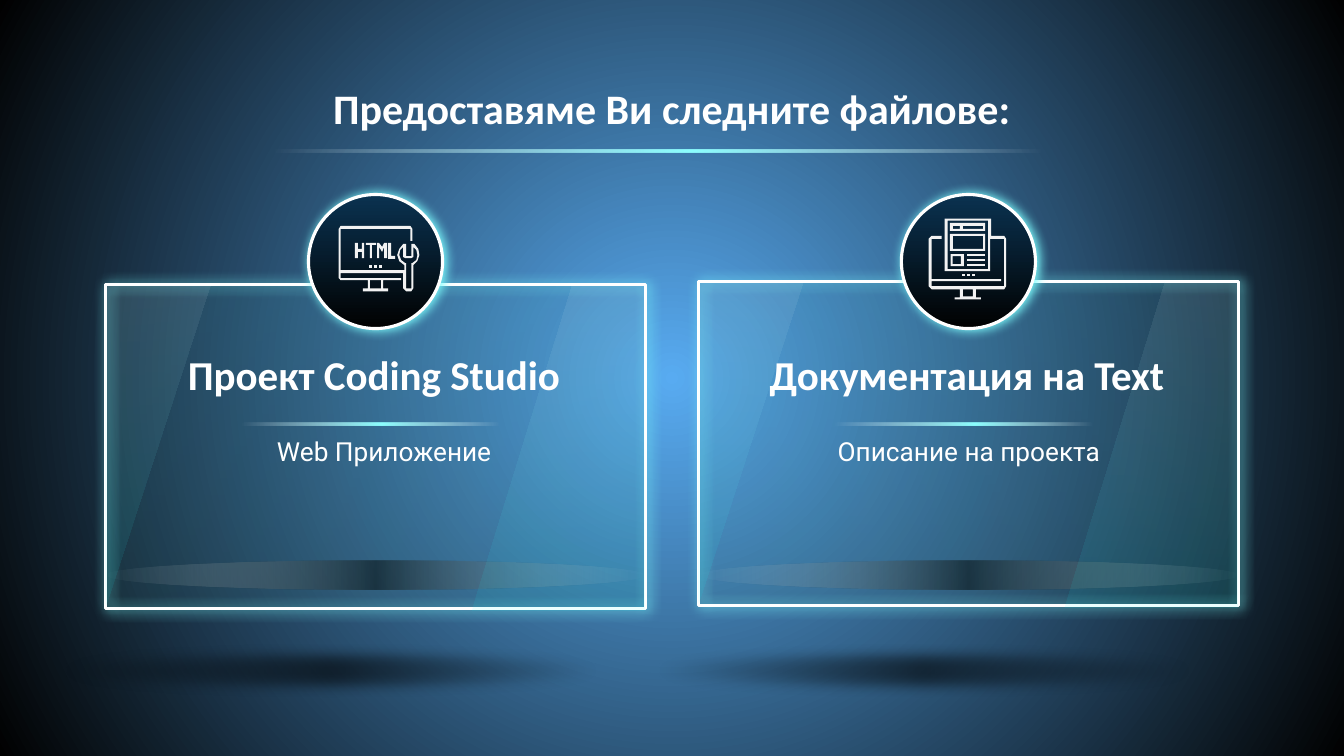
import pptx
import pptx.util
import pptx.dml.color
import pptx.enum.shapes
import pptx.enum.text
import pptx.oxml
import pptx.oxml.ns

PX = 9144  # 100 px to the inch
RECT = pptx.enum.shapes.MSO_SHAPE.RECTANGLE
OVAL = pptx.enum.shapes.MSO_SHAPE.OVAL
ANCHOR = pptx.enum.text.MSO_ANCHOR
NS = pptx.oxml.ns.nsdecls("a")

# Gradient stops: position, colour, opacity in percent
DARK = [(0, "0A3250", 100), (100, "010101", 100)]
TINT = [(0, "0A3250", 8), (100, "010101", 8)]
GLASS = [(0, "00FFFF", 8), (100, "FFFFFF", 8)]
FLOOR = [(0, "FFFFFF", 0), (50, "010101", 56), (100, "FFFFFF", 0)]
RULE = [(0, "FFFFFF", 0), (11, "FFFFFF", 0), (48, "8CFFFF", 100),
        (92, "FFFFFF", 0), (100, "FFFFFF", 0)]
BACK = [(0, "58ABF1", 100), (100, "010101", 100)]


def box(l, t, r, b):
    return [(l, t), (r, t), (r, b), (l, b)]


def row(l, t, w, h, n, dx=0, dy=0):
    return [[box(l + i * dx, t + i * dy, l + i * dx + w, t + i * dy + h)] for i in range(n)]


# Icons: each part is a list of closed contours, in px from the badge corner
WEB_ICON = [
    # Letters
    [[(46, 48), (46, 63), (49, 63), (49, 57), (53, 57), (53, 63), (55, 63),
      (55, 48), (53, 48), (53, 54), (49, 54), (49, 48)]],
    [[(57, 48), (57, 50), (61, 50), (61, 63), (63, 63), (63, 50), (67, 50), (67, 48)]],
    [[(68, 48), (68, 63), (70, 63), (70, 52), (73, 57), (75, 52), (75, 63),
      (78, 63), (78, 48), (75, 48), (73, 52), (70, 48)]],
    [[(79, 48), (79, 64), (86, 64), (86, 61), (82, 61), (82, 48)]],
    # Dots
    *row(60, 70, 3, 3, 3, dx=5),
    # Monitor and wrench
    [box(61, 85, 72, 93),
     [(104, 52), (107, 55), (108, 60), (107, 65), (103, 68), (102, 68), (102, 93),
      (97, 93), (97, 68), (96, 68), (92, 65), (90, 60), (91, 55), (94, 52),
      (94, 62), (96, 63), (102, 63), (104, 62)],
     [(32, 31), (30, 34), (30, 83), (32, 85), (59, 85), (59, 93), (54, 93), (54, 96),
      (79, 96), (79, 93), (74, 93), (74, 85), (92, 85), (92, 83), (32, 83), (32, 78),
      (94, 78), (94, 93), (97, 96), (102, 96), (104, 93), (104, 70), (108, 66),
      (110, 60), (109, 54), (105, 49), (102, 49), (102, 61), (97, 61), (97, 49),
      (94, 49), (90, 54), (88, 60), (90, 66), (95, 70), (95, 75), (32, 75), (32, 34),
      (101, 34), (101, 46), (103, 46), (103, 34), (101, 31)]],
]
PAGE_ICON = [
    # Dots
    *row(60, 79, 3, 2, 3, dx=5),
    # Monitor and page
    [box(46, 26, 86, 74), box(61, 94, 71, 101),
     [(43, 24), (43, 76), (88, 76), (88, 44), (102, 44), (102, 91), (30, 91), (30, 86),
      (99, 86), (99, 84), (30, 84), (30, 44), (40, 44), (40, 41), (30, 41), (27, 44),
      (27, 91), (30, 94), (58, 94), (58, 102), (53, 102), (53, 104), (79, 104),
      (79, 102), (74, 102), (74, 94), (102, 94), (104, 91), (104, 44), (102, 41),
      (89, 41), (89, 24)]],
    # Page header, picture frame, text lines, small frame
    [box(51, 31, 58, 34), box(61, 31, 81, 34), box(48, 28, 83, 36)],
    [box(51, 41, 81, 54), box(48, 39, 83, 56)],
    *row(65, 59, 18, 2, 3, dy=5),
    [box(51, 61, 59, 69), box(49, 59, 62, 71)],
]


def px(*values):
    return [pptx.util.Emu(int(v * PX)) for v in values]


def rgb(colour):
    return pptx.dml.color.RGBColor.from_string(colour)


def colour_xml(colour, opacity):
    return f'<a:srgbClr val="{colour}"><a:alpha val="{opacity * 1000}"/></a:srgbClr>'


def gradient(owner, element, stops, angle=None):
    owner.fill.solid()
    solid = element.find(".//" + pptx.oxml.ns.qn("a:solidFill"))
    gs = "".join(f'<a:gs pos="{p * 1000}">{colour_xml(c, o)}</a:gs>' for p, c, o in stops)
    if angle is None:
        way = ('<a:path path="circle"><a:fillToRect l="50000" t="50000" '
               'r="50000" b="50000"/></a:path>')
    else:
        way = f'<a:lin ang="{angle * 60000}" scaled="0"/>'
    solid.getparent().replace(solid, pptx.oxml.parse_xml(
        f'<a:gradFill {NS} rotWithShape="1"><a:gsLst>{gs}</a:gsLst>{way}</a:gradFill>'))


def style(sp, stops, angle, outline=False, shadow=None):
    gradient(sp, sp.element, stops, angle)
    sp.shadow.inherit = False
    if outline:
        sp.line.color.rgb = rgb("FFFFFF")
        sp.line.width = pptx.util.Pt(2.25)
    else:
        sp.line.fill.background()
    if shadow:
        colour, blur, dist, direction = shadow
        effects = sp.element.spPr.find(pptx.oxml.ns.qn("a:effectLst"))
        effects.append(pptx.oxml.parse_xml(
            f'<a:outerShdw {NS} blurRad="{int(blur * 12700)}" dist="{int(dist * 12700)}" '
            f'dir="{direction * 60000}" algn="ctr" rotWithShape="0">'
            f'{colour_xml(colour, 100)}</a:outerShdw>'))


def preset(s, kind, x, y, w, h, *args, **kwargs):
    sp = s.shapes.add_shape(kind, *px(x, y, w, h))
    style(sp, *args, **kwargs)


def outline_shape(s, x, y, contours):
    builder = s.shapes.build_freeform(*contours[0][0], scale=PX)
    for i, points in enumerate(contours):
        if i:
            builder.move_to(*points[0])
        builder.add_line_segments(points[1:], close=True)
    return builder.convert_to_shape(*px(x, y))


def write(sp, text, anchor, **font):
    tf = sp.text_frame
    inset = px(13)[0]
    frame = dict(word_wrap=True, auto_size=pptx.enum.text.MSO_AUTO_SIZE.NONE,
                 vertical_anchor=anchor, margin_left=inset, margin_right=inset,
                 margin_top=inset, margin_bottom=inset)
    for name, value in frame.items():
        setattr(tf, name, value)
    p = tf.paragraphs[0]
    p.alignment = pptx.enum.text.PP_ALIGN.CENTER
    r = p.add_run()
    r.text = text
    r.font.color.rgb = rgb("FFFFFF")
    for name, value in font.items():
        setattr(r.font, name, value)


def header(s, x, y, w, h, text):
    sp = s.shapes.title
    sp.left, sp.top, sp.width, sp.height = px(x, y, w, h)
    write(sp, text, ANCHOR.MIDDLE, name="Calibri", size=pptx.util.Pt(30), bold=True)
    preset(s, RECT, x + 92, y + 83, 939, 3, RULE, 180)


def card(s, x, y, w, h, badge_y, heading, body, body_dx, icon):
    # Floor ellipse with its cast shadow
    preset(s, OVAL, x, badge_y + 363, w, 29, FLOOR, 180, shadow=("000000", 9, 75, 115))
    # Glass panel with two slanted reflections
    preset(s, RECT, x, y, w, h, TINT, 90, outline=True, shadow=("7EFFFF", 9, 1.5, 0))
    for points in ([(0, 0), (0, 320), (104, 0)],
                   [(w - 72, 0), (w - 172, 324), (w, 324), (w, 0)]):
        style(outline_shape(s, x, y, [points]), GLASS, 270)
    # Badge
    badge_x = x + 201
    preset(s, OVAL, badge_x, badge_y, 133, 133, DARK, 90, outline=True,
           shadow=("7EFFFF", 7.9, 1.5, 0))
    for contours in icon:
        sp = outline_shape(s, badge_x, badge_y, contours)
        sp.fill.solid()
        sp.fill.fore_color.rgb = rgb("F2F2F2")
        sp.line.fill.background()
        sp.shadow.inherit = False
    # Texts and divider
    tb = s.shapes.add_textbox(*px(x + 16, badge_y + 136, 500, 80))
    write(tb, heading, ANCHOR.BOTTOM, name="Calibri", size=pptx.util.Pt(29.3), bold=True)
    tb = s.shapes.add_textbox(*px(x + 18 + body_dx, badge_y + 226, 500, 67))
    write(tb, body, ANCHOR.TOP, name="Roboto", size=pptx.util.Pt(18.7))
    preset(s, RECT, x + 110, badge_y + 226, 315, 3, RULE, 180)


def main():
    prs = pptx.Presentation()
    prs.slide_width, prs.slide_height = px(1333, 750)
    s = prs.slides.add_slide(prs.slide_layouts[5])
    gradient(s.background, s.element, BACK)
    header(s, 105, 65, 1123, 84, "Предоставяме Ви следните файлове:")
    card(s, 693, 279, 535, 322, 193, "Документация на Text", "Описание на проекта",
         0, PAGE_ICON)
    card(s, 105, 282, 535, 322, 193, "Проект Coding Studio", "Web Приложение",
         8, WEB_ICON)
    prs.save("out.pptx")


if __name__ == "__main__":
    main()
